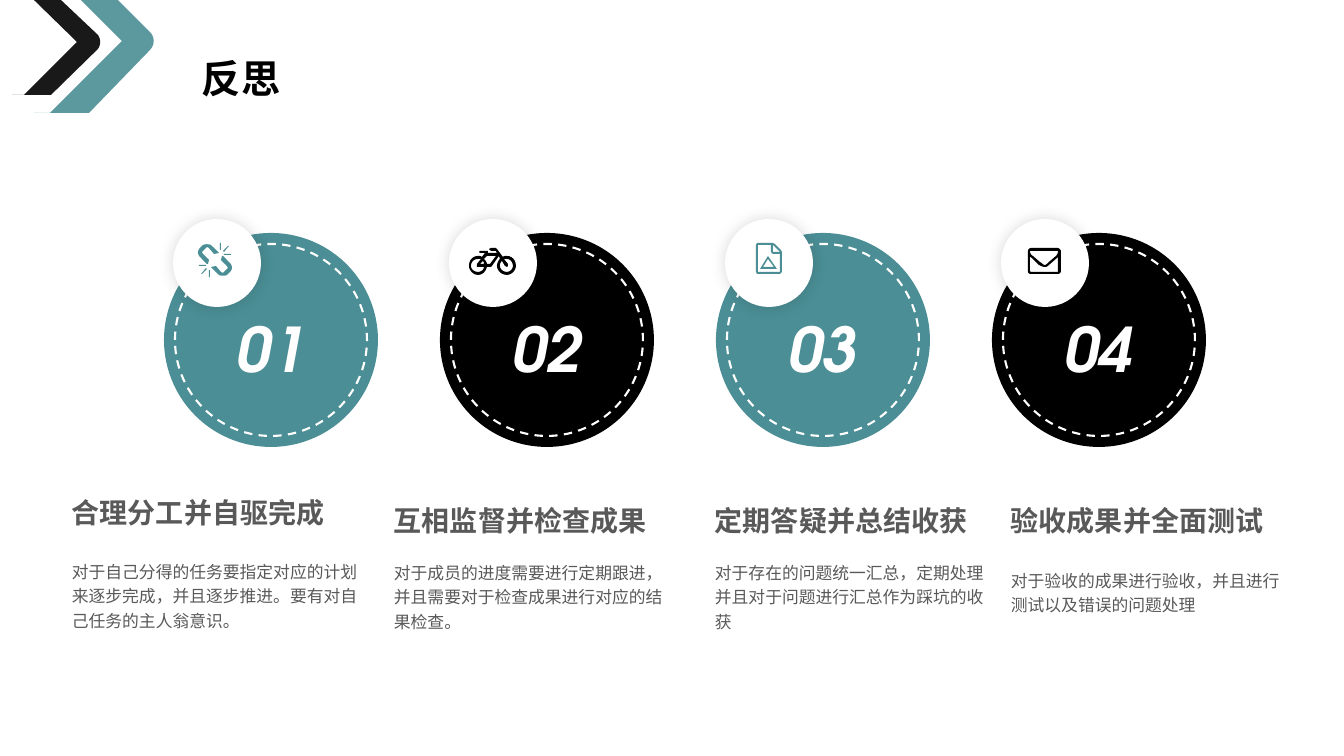
import pptx
import pptx.dml.color
import pptx.enum.dml
import pptx.enum.shapes
import pptx.enum.text
import pptx.oxml
import pptx.oxml.ns
import pptx.util

SCALE = 914400 / 100.8  # EMU in one px
TEAL, BLACK, WHITE, GREY = "4B8E95", "000000", "FFFFFF", "595959"
CJK, NUMERAL = "Noto Sans CJK JP", "TeX Gyre Adventor"
ALIGN = pptx.enum.text.PP_ALIGN
NAMESPACE = pptx.oxml.ns.nsdecls("a")

# Contours: a pair is a corner, six numbers are a Bezier curve
CHEVRON_TEAL = [[(34, 113), (89, 113), (150, 50), (155, 45, 155, 37, 150, 32),
                 (118, 0), (81, 0), (122, 41), (50, 113)]]
CHEVRON_BLACK = [[(12, 95), (51, 95), (98, 49), (101, 45, 101, 39, 98, 35),
                  (61, 0), (34, 0), (77, 42), (24, 95)]]

HALF_LINK = [
    [(16, 11), (11, 5), (9, 4), (8, 5), (5, 8), (4, 9), (5, 11), (11, 17), (10, 21),
     (9, 21), (2, 14), (1, 13, 0, 11, 0, 9), (0, 8, 1, 6, 2, 5), (5, 2),
     (7, 1, 11, 1, 13, 2), (20, 9), (21, 10)],
    [(1, 22), (8, 22), (8, 23), (1, 23)],
    [(3, 31), (8, 25), (9, 26), (4, 31)],
    [(11, 27), (12, 27), (12, 34), (11, 34)],
]
# The second half is the first one turned by 180 degrees in a 34 px square
LINK = HALF_LINK + [[tuple(34 - number for number in step) for step in contour]
                    for contour in HALF_LINK]
BICYCLE = [
    [(38, 27), (32, 27, 28, 22, 28, 18), (28, 15, 30, 12, 31, 11), (30, 8), (23, 18),
     (22, 19), (18, 19), (17, 23, 14, 27, 9, 27), (4, 27, 0, 22, 0, 18),
     (0, 12, 4, 8, 9, 8), (11, 8, 12, 8, 13, 9), (16, 5), (11, 5), (10, 4), (11, 3),
     (19, 3), (19, 5), (28, 5), (27, 3), (22, 3), (20, 1), (22, 0), (27, 0), (28, 1),
     (34, 9), (35, 8, 36, 8, 38, 8), (43, 8, 47, 12, 47, 18), (47, 22, 43, 27, 38, 27)],
    [(9, 19), (8, 19), (8, 16), (12, 11), (9, 11), (5, 11, 2, 14, 2, 18),
     (2, 21, 5, 24, 9, 24), (12, 24, 15, 22, 15, 19)],
    [(15, 16), (15, 15, 15, 14, 14, 13), (11, 16)],
    [(27, 8), (18, 8), (15, 11), (16, 12, 18, 14, 18, 16), (21, 16)],
    [(38, 11), (35, 11), (39, 16), (39, 18), (38, 19), (36, 18), (33, 13),
     (32, 14, 31, 15, 31, 18), (31, 21, 34, 24, 38, 24), (41, 24, 44, 21, 44, 18),
     (44, 14, 41, 11, 38, 11)],
]
DOCUMENT = [
    [(26, 9), (26, 29), (24, 31), (1, 31), (0, 29), (0, 2), (1, 0), (17, 0), (19, 1), (25, 7)],
    [(24, 11), (17, 11), (15, 9), (15, 2), (2, 2), (2, 29), (24, 29)],
    [(17, 9), (24, 9), (23, 8), (18, 3), (17, 2)],
    [(12, 13), (21, 26), (4, 26)],
    [(12, 16), (18, 24), (7, 24)],
]
ENVELOPE = [
    [(33, 23), (33, 25, 31, 26, 30, 26), (3, 26), (1, 26, 0, 25, 0, 23), (0, 3),
     (0, 2, 1, 0, 3, 0), (30, 0), (31, 0, 33, 2, 33, 3)],
    [(30, 3), (2, 3), (2, 5, 3, 7, 5, 8), (12, 14), (14, 15, 15, 17, 17, 17),
     (18, 17, 20, 15, 21, 14), (28, 8), (29, 7, 30, 5, 30, 4)],
    [(30, 9), (29, 10), (21, 17), (20, 18, 19, 19, 17, 19), (15, 19, 13, 18, 11, 17),
     (4, 10), (2, 9), (2, 23), (3, 24), (30, 24)],
]

# Disc colour, icon contours, icon position on the badge
DISCS = [(TEAL, LINK, (25, 24)), (BLACK, BICYCLE, (20, 29)),
         (TEAL, DOCUMENT, (31, 24)), (BLACK, ENVELOPE, (27, 29))]

# Heading box, body box, heading, body
NOTES = [
    ((62, 484, 305, 50), (62, 553, 322, 84), "合理分工并自驱完成",
     "对于自己分得的任务要指定对应的计划来逐步完成，并且逐步推进。要有对自己任务的主人翁意识。"),
    ((384, 492, 288, 50), (384, 554, 303, 84), "互相监督并检查成果",
     "对于成员的进度需要进行定期跟进，并且需要对于检查成果进行对应的结果检查。"),
    ((705, 492, 288, 50), (705, 554, 303, 84), "定期答疑并总结收获",
     "对于存在的问题统一汇总，定期处理并且对于问题进行汇总作为踩坑的收获"),
    ((1001, 492, 282, 50), (1001, 562, 297, 58), "验收成果并全面测试",
     "对于验收的成果进行验收，并且进行测试以及错误的问题处理"),
]


def px(*lengths):
    return [round(length * SCALE) for length in lengths]


def color(value):
    return pptx.dml.color.RGBColor.from_string(value)


def paint(shape, fill):
    shape.shadow.inherit = False
    shape.line.fill.background()
    shape.fill.solid()
    shape.fill.fore_color.rgb = color(fill)


def flatten(contour, steps=6):
    """Turn corners and curves into points in EMU."""
    points = []
    for step in contour:
        if len(step) == 2:
            points.append(step)
            continue
        knots = [points[-1], step[:2], step[2:4], step[4:]]
        for index in range(1, steps + 1):
            t = index / steps
            weights = ((1 - t) ** 3, 3 * t * (1 - t) ** 2, 3 * t * t * (1 - t), t ** 3)
            points.append(tuple(sum(weight * knot[axis] for weight, knot in zip(weights, knots))
                                for axis in (0, 1)))
    return [px(*point) for point in points]


def add_outline(shapes, left, top, contours, fill):
    rings = [flatten(contour) for contour in contours]
    builder = shapes.build_freeform(*rings[0][0])
    for ring in rings:
        if ring is not rings[0]:
            builder.move_to(*ring[0])
        builder.add_line_segments(ring[1:], close=True)
    outline = builder.convert_to_shape(*px(left, top))
    paint(outline, fill)
    return outline


def add_circle(shapes, left, top, size, fill):
    circle = shapes.add_shape(pptx.enum.shapes.MSO_SHAPE.OVAL, *px(left, top, size, size))
    paint(circle, fill)
    return circle


def add_text(page, box, text, size, fill, font=CJK, align=None, spacing=None, wrap=True, **styles):
    frame = page.shapes.add_textbox(*px(*box)).text_frame
    frame.word_wrap = wrap
    para = frame.paragraphs[0]
    span = para.add_run()
    span.text = text
    for name, value in {"alignment": align, "line_spacing": spacing}.items():
        setattr(para, name, value)
    formats = {"name": font, "size": pptx.util.Pt(size), **styles}
    for name, value in formats.items():
        setattr(span.font, name, value)
    span.font.color.rgb = color(fill)
    span.font._element.append(pptx.oxml.parse_xml(f'<a:ea {NAMESPACE} typeface="{font}"/>'))


def add_header(page):
    add_text(page, (192, 49, 99, 57), "反思", 28, BLACK, wrap=False, bold=True)
    for contours, fill in ((CHEVRON_TEAL, TEAL), (CHEVRON_BLACK, BLACK)):
        chevron = add_outline(page.shapes, 0, 0, contours, fill)
        tint = chevron.fill._xPr.find(".//" + pptx.oxml.ns.qn("a:srgbClr"))
        tint.append(pptx.oxml.parse_xml(f'<a:alpha {NAMESPACE} val="90000"/>'))


def add_disc(page, left, top, number, fill, icon, icon_at):
    shapes = page.shapes.add_group_shape().shapes
    add_circle(shapes, left, top, 214, fill)
    # Dashed ring
    ring = add_circle(shapes, left + 11, top + 11, 192, fill)
    ring.fill.background()
    ring.line.color.rgb = color(WHITE)
    ring.line.width = pptx.util.Pt(1.5)
    ring.line.dash_style = pptx.enum.dml.MSO_LINE.DASH
    # Badge with a soft shadow and its icon
    badge_left, badge_top = left + 9, top - 14
    badge = add_circle(shapes, badge_left, badge_top, 88, WHITE)
    effects = badge._element.spPr.find(pptx.oxml.ns.qn("a:effectLst"))
    effects.append(pptx.oxml.parse_xml(
        f'<a:outerShdw {NAMESPACE} blurRad="{pptx.util.Pt(11)}" dist="0" algn="ctr" rotWithShape="0">'
        f'<a:srgbClr val="{BLACK}"><a:alpha val="15000"/></a:srgbClr></a:outerShdw>'))
    add_outline(shapes, badge_left + icon_at[0], badge_top + icon_at[1], icon, fill)
    # Number
    add_text(page, (left + 15, top + 73, 184, 85), number, 44, WHITE, NUMERAL,
             ALIGN.CENTER, bold=True, italic=True)


def add_note(page, heading_box, body_box, heading, body):
    add_text(page, body_box, body, 12, GREY, spacing=1.2)
    add_text(page, heading_box, heading, 20, GREY, align=ALIGN.JUSTIFY, spacing=1.2, bold=True)


def main():
    deck = pptx.Presentation()
    deck.slide_width, deck.slide_height = px(1344, 756)
    page = deck.slides.add_slide(deck.slide_layouts[6])
    for index, disc in enumerate(DISCS):
        add_disc(page, 164 + 276 * index, 233, f"{index + 1:02}", *disc)
    for note in NOTES:
        add_note(page, *note)
    add_header(page)
    deck.save("out.pptx")


if __name__ == "__main__":
    main()
